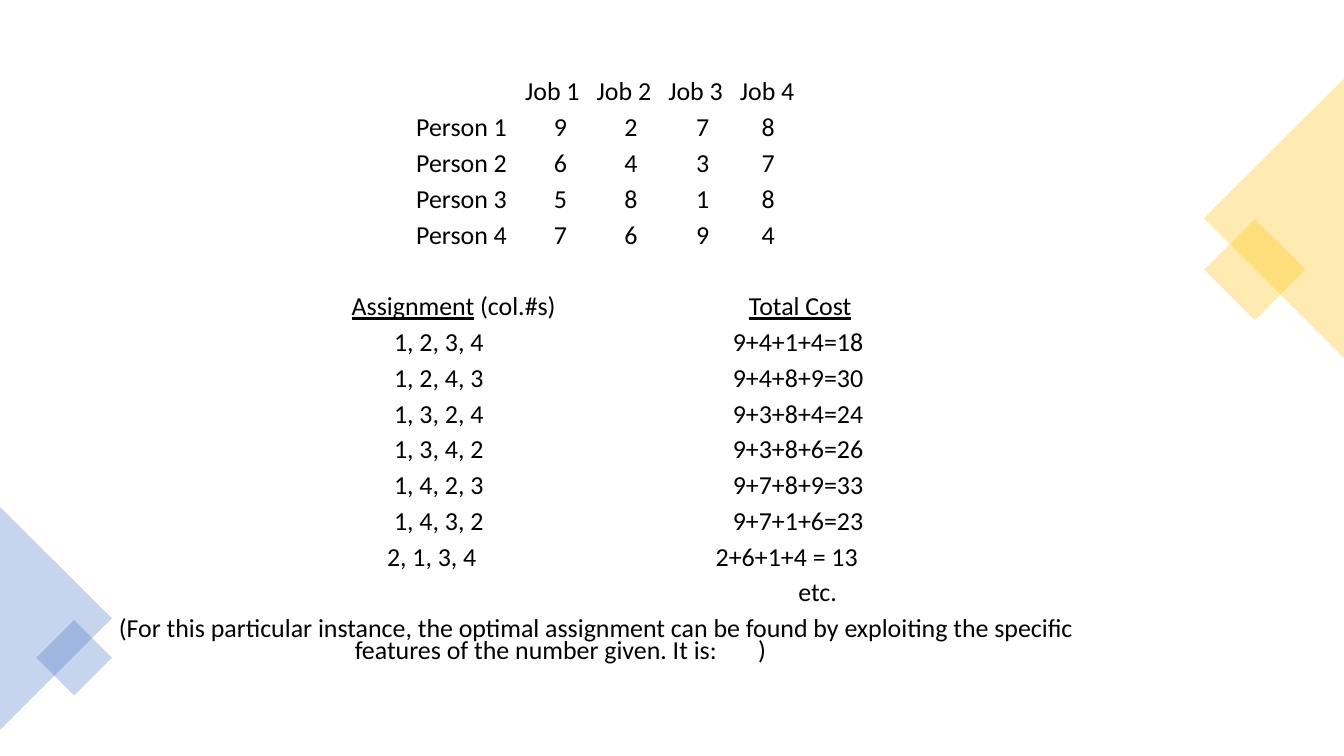
from lxml import etree
from pptx import Presentation
from pptx.dml.color import RGBColor
from pptx.enum.shapes import MSO_SHAPE
from pptx.oxml.ns import qn
from pptx.util import Inches, Pt

RECT, TRIANGLE = MSO_SHAPE.RECTANGLE, MSO_SHAPE.ISOSCELES_TRIANGLE
COLORS = {"gold": "FFC000", "blue": "4472C4", "text": "000000"}
FONT, SIZE = "Calibri", 18.5
GAP, SECTION_GAP = 10, 35.5

COSTS = [[9, 2, 7, 8], [6, 4, 3, 7], [5, 8, 1, 8], [7, 6, 9, 4]]
ASSIGNMENTS = [
    ("1, 2, 3, 4", "9+4+1+4=18"),
    ("1, 2, 4, 3", "9+4+8+9=30"),
    ("1, 3, 2, 4", "9+3+8+4=24"),
    ("1, 3, 4, 2", "9+3+8+6=26"),
    ("1, 4, 2, 3", "9+7+8+9=33"),
    ("1, 4, 3, 2", "9+7+1+6=23"),
]
NOTE = ("(For this particular instance, the optimal assignment can be found by "
        "exploiting the specific features of the number given. It is:\t)")

JOB_TABS = [(4.71 + 0.71 * i, "ctr") for i in range(4)]
COST_TABS = [(3.36, "l"), (4.79, "ctr"), (5.49, "ctr"), (6.2, "ctr"), (6.85, "ctr")]


def add_diamond_corner(slide, color, triangle_box, rotation, square_box):
    """Translucent triangle on the slide edge with a small diamond over it."""
    for kind, box, angle in ((TRIANGLE, triangle_box, rotation), (RECT, square_box, 45)):
        sp = slide.shapes.add_shape(kind, *map(Inches, box))
        sp.rotation = angle
        sp.shadow.inherit = False
        sp.line.fill.background()
        sp.fill.solid()
        sp.fill.fore_color.rgb = RGBColor.from_string(COLORS[color])
        clr = sp.fill._xPr.find(qn("a:solidFill"))[0]
        etree.SubElement(clr, qn("a:alpha"), val="30000")


def add_line(tf, runs, tabs, before=GAP):
    """Add a paragraph of (text, underlined) runs set on tab stops in inches."""
    first = not tf.paragraphs[0].runs
    p = tf.paragraphs[0] if first else tf.add_paragraph()
    tab_list = etree.SubElement(p._p.get_or_add_pPr(), qn("a:tabLst"))
    for pos, align in tabs:
        etree.SubElement(tab_list, qn("a:tab"), pos=str(Inches(pos)), algn=align)
    p.line_spacing = 0.7
    p.space_before = Pt(0 if first else before)
    p.font.name, p.font.size = FONT, Pt(SIZE)
    p.font.color.rgb = RGBColor.from_string(COLORS["text"])
    for text, underlined in runs:
        r = p.add_run()
        r.text = text
        if underlined:
            r.font.underline = True
    return p


def add_cost_matrix(tf):
    add_line(tf, [("".join(f"\tJob {j}" for j in range(1, 5)), False)], JOB_TABS)
    for person, costs in enumerate(COSTS, 1):
        cells = [f"Person {person}", *map(str, costs)]
        add_line(tf, [("\t" + "\t".join(cells), False)], COST_TABS)


def add_assignments(tf):
    heading = [("\t", False), ("Assignment", True), (" (col.#s)\t", False),
               ("Total Cost", True)]
    add_line(tf, heading, [(2.72, "l"), (6.66, "l")], SECTION_GAP)
    for columns, total in ASSIGNMENTS:
        add_line(tf, [(f"\t{columns}\t{total}", False)], [(3.14, "l"), (6.5, "l")])
    add_line(tf, [("\t2, 1, 3, 4\t2+6+1+4 = 13", False)], [(3.07, "l"), (6.33, "l")])
    add_line(tf, [("\tetc.", False)], [(7.15, "l")])


def add_note(tf):
    p = add_line(tf, [(NOTE, False)], [(7.45, "l")])
    pPr = p._p.get_or_add_pPr()
    pPr.set("marL", str(Inches(2.75)))
    pPr.set("indent", str(Inches(-2.34)))


def add_worked_example(slide, box):
    tf = slide.shapes.add_textbox(*map(Inches, box)).text_frame
    tf.word_wrap = True
    add_cost_matrix(tf)
    add_assignments(tf)
    add_note(tf)


def main():
    prs = Presentation()
    prs.slide_width, prs.slide_height = Inches(13.33), Inches(7.5)
    slide = prs.slides.add_slide(prs.slide_layouts[6])
    add_diamond_corner(slide, "gold", (11.25, 1.47, 2.77, 1.39), 270,
                       (12.09, 2.32, 0.71, 0.71))
    add_diamond_corner(slide, "blue", (-0.55, 5.58, 2.21, 1.11), 90,
                       (0.47, 6.26, 0.53, 0.53))
    add_worked_example(slide, (0.67, 0.78, 10.49, 5.97))
    prs.save("out.pptx")


if __name__ == "__main__":
    main()
